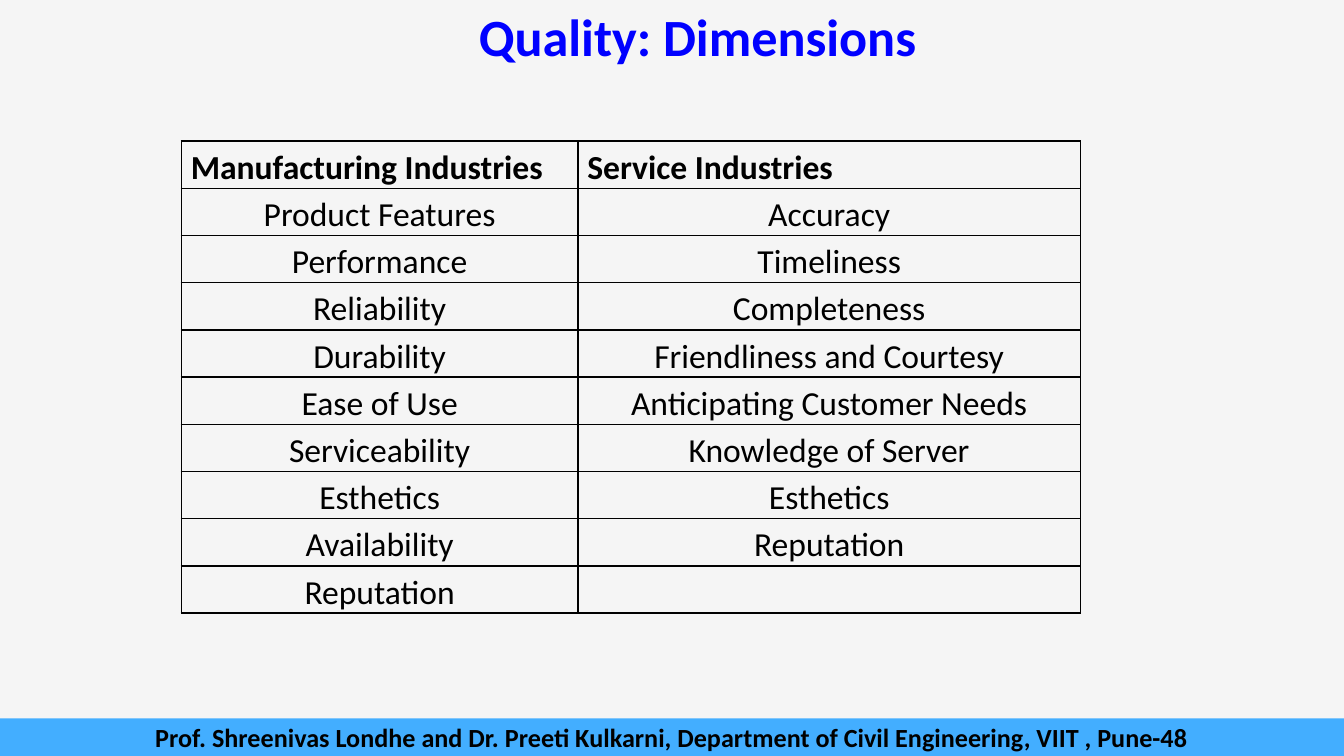
"""Build the slide that compares quality dimensions in manufacturing and service industries."""
from dataclasses import dataclass

from lxml.etree import SubElement
from pptx import Presentation
from pptx.dml.color import RGBColor
from pptx.enum.shapes import MSO_SHAPE
from pptx.enum.text import MSO_ANCHOR, MSO_AUTO_SIZE, PP_ALIGN
from pptx.oxml.ns import qn
from pptx.util import Inches, Pt


@dataclass(frozen=True)
class Theme:
    font: str = "Calibri"
    background: str = "F5F5F5"
    band: str = "43AEFF"
    title: str = "0000FF"
    ink: str = "000000"
    title_size: int = 28
    table_size: int = 18
    footer_size: int = 14


theme = Theme()


def add_text(para, text, size, color, bold, align):
    para.alignment = align
    span = para.add_run()
    span.text = text
    span.font.name = theme.font
    span.font.size = Pt(size)
    span.font.bold = bold
    span.font.color.rgb = RGBColor.from_string(color)


def add_borders(cell):
    properties = cell._tc.get_or_add_tcPr()
    for position, side in enumerate(("a:lnL", "a:lnR", "a:lnT", "a:lnB")):
        line = SubElement(properties, qn(side), w=str(Pt(1)))
        fill = SubElement(line, qn("a:solidFill"))
        SubElement(fill, qn("a:srgbClr"), val=theme.ink)
        properties.remove(line)
        properties.insert(position, line)


deck = Presentation()
deck.slide_width = Inches(10)
deck.slide_height = deck.slide_width * 9 // 16
page = deck.slides.add_slide(deck.slide_layouts[5])
page.background.fill.solid()
page.background.fill.fore_color.rgb = RGBColor.from_string(theme.background)

footer_height = Inches(0.28)
footer = page.shapes.add_shape(
    MSO_SHAPE.RECTANGLE, 0, deck.slide_height - footer_height, deck.slide_width, footer_height
)
footer.shadow.inherit = False
footer.fill.solid()
footer.fill.fore_color.rgb = RGBColor.from_string(theme.band)
footer.line.fill.background()
footer.text_frame.word_wrap = True
footer.text_frame.vertical_anchor = MSO_ANCHOR.MIDDLE
add_text(
    footer.text_frame.paragraphs[0],
    "Prof. Shreenivas Londhe and Dr. Preeti Kulkarni, Department of Civil Engineering, VIIT , Pune-48",
    theme.footer_size, theme.ink, True, PP_ALIGN.CENTER,
)

title = page.shapes.title
title.left, title.top, title.width, title.height = map(Inches, (1.61, 0.01, 7.16, 0.57))
frame = title.text_frame
frame.auto_size = MSO_AUTO_SIZE.NONE
frame.vertical_anchor = MSO_ANCHOR.MIDDLE
frame.margin_left = frame.margin_right = Inches(0.07)
frame.margin_top = frame.margin_bottom = Inches(0.04)
frame.paragraphs[0].line_spacing = 0.9
add_text(
    frame.paragraphs[0], "Quality: Dimensions", theme.title_size, theme.title, True, PP_ALIGN.CENTER
)

dimensions = [
    ("Manufacturing Industries", "Service Industries"),
    ("Product Features", "Accuracy"),
    ("Performance", "Timeliness"),
    ("Reliability", "Completeness"),
    ("Durability", "Friendliness and Courtesy"),
    ("Ease of Use", "Anticipating Customer Needs"),
    ("Serviceability", "Knowledge of Server"),
    ("Esthetics", "Esthetics"),
    ("Availability", "Reputation"),
    ("Reputation", ""),
]
column_widths = [Inches(2.95), Inches(3.74)]
row_height = Inches(0.33)
table = page.shapes.add_table(
    len(dimensions), len(column_widths), Inches(1.35), Inches(1.05),
    sum(column_widths), row_height * len(dimensions),
).table
table.first_row = table.horz_banding = False
for column, width in zip(table.columns, column_widths):
    column.width = width

for row, entries in enumerate(dimensions):
    header = row == 0
    for column, entry in enumerate(entries):
        cell = table.cell(row, column)
        cell.fill.background()
        add_borders(cell)
        cell.margin_left = cell.margin_right = Inches(0.07)
        cell.margin_top = cell.margin_bottom = 0
        if entry:
            para = cell.text_frame.paragraphs[0]
            para.line_spacing = 1.15
            para.space_after = Pt(10)
            align = PP_ALIGN.LEFT if header else PP_ALIGN.CENTER
            add_text(para, entry, theme.table_size, theme.ink, header, align)

deck.save("out.pptx")
